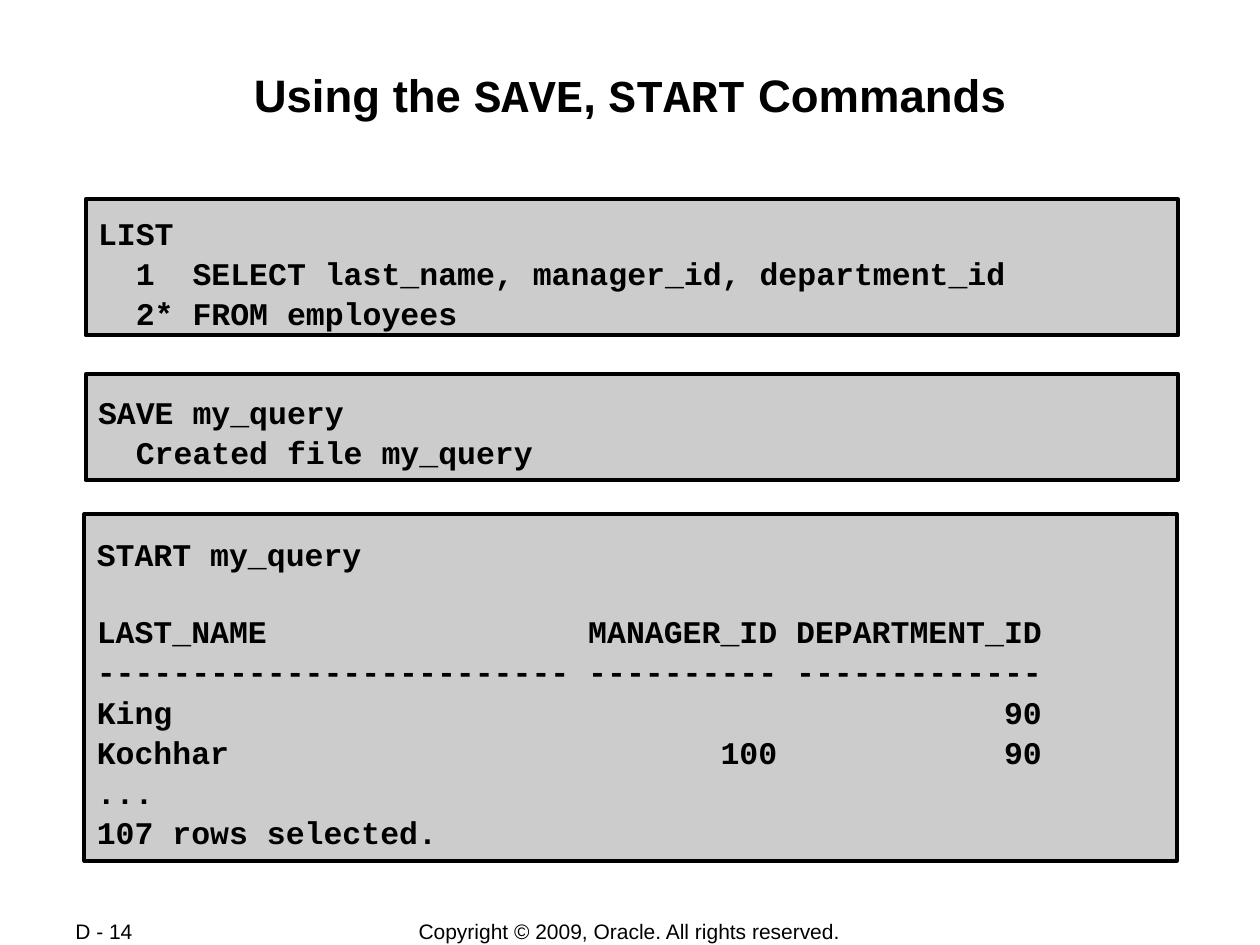
from dataclasses import dataclass

from pptx import Presentation
from pptx.dml.color import RGBColor
from pptx.enum.shapes import MSO_SHAPE
from pptx.enum.text import MSO_ANCHOR, MSO_AUTO_SIZE, PP_ALIGN
from pptx.util import Inches, Pt

RECTANGLE = MSO_SHAPE.RECTANGLE
TOP, MIDDLE = MSO_ANCHOR.TOP, MSO_ANCHOR.MIDDLE
LEFT, CENTER = PP_ALIGN.LEFT, PP_ALIGN.CENTER
NO_AUTOFIT = MSO_AUTO_SIZE.NONE
TITLE_ONLY = 5
WIDTH, HEIGHT = 10, 7.5


@dataclass(frozen=True)
class Theme:
    ink: RGBColor = RGBColor(0, 0, 0)
    panel: RGBColor = RGBColor(0xCC, 0xCC, 0xCC)
    prose: str = "Arial"
    code: str = "Courier New"
    title_size: float = 26
    code_size: float = 18
    footer_size: float = 12
    border: float = 2.25
    line_gap: float = 1.3
    section_gap: float = 22.9


class CommandSlide:
    def __init__(self, deck, theme):
        self.theme = theme
        self.slide = deck.slides.add_slide(deck.slide_layouts[TITLE_ONLY])

    def box(self, x, y, width, height):
        return (Inches(x * WIDTH), Inches(y * HEIGHT),
                Inches(width * WIDTH), Inches(height * HEIGHT))

    def frame(self, shape, anchor, side, top, bottom):
        frame = shape.text_frame
        frame.word_wrap = True
        frame.auto_size = NO_AUTOFIT
        frame.vertical_anchor = anchor
        frame.margin_left = frame.margin_right = Inches(side)
        frame.margin_top, frame.margin_bottom = Inches(top), Inches(bottom)
        return frame

    def style(self, font, size, family, bold):
        font.size, font.name, font.bold = Pt(size), family, bold
        font.color.rgb = self.theme.ink

    def title(self, pieces, x, y, width, height):
        heading = self.slide.shapes.title
        heading.left, heading.top, heading.width, heading.height = self.box(x, y, width, height)
        paragraph = self.frame(heading, TOP, 0.01, 0.05, 0.01).paragraphs[0]
        paragraph.alignment = CENTER
        for words, family in pieces:
            run = paragraph.add_run()
            run.text = words
            self.style(run.font, self.theme.title_size, family, True)

    def code_panel(self, sections, x, y, width, height):
        panel = self.slide.shapes.add_shape(RECTANGLE, *self.box(x, y, width, height))
        panel.shadow.inherit = False
        panel.fill.solid()
        panel.fill.fore_color.rgb = self.theme.panel
        panel.line.color.rgb = self.theme.ink
        panel.line.width = Pt(self.theme.border)
        frame = self.frame(panel, MIDDLE, 0.1, 0.09, 0.01)
        paragraph = frame.paragraphs[0]
        for section_index, lines in enumerate(sections):
            for line_index, line in enumerate(lines):
                if section_index or line_index:
                    paragraph = frame.add_paragraph()
                    gap = self.theme.line_gap if line_index else self.theme.section_gap
                    paragraph.space_before = Pt(gap)
                paragraph.text = line
                paragraph.alignment = LEFT
                self.style(paragraph.font, self.theme.code_size, self.theme.code, True)

    def footer(self, words, alignment, x, y, width, height):
        note = self.slide.shapes.add_textbox(*self.box(x, y, width, height))
        paragraph = self.frame(note, MIDDLE, 0.1, 0, 0).paragraphs[0]
        paragraph.text = words
        paragraph.alignment = alignment
        self.style(paragraph.font, self.theme.footer_size, self.theme.prose, False)


def query_row(last_name, manager_id, department_id):
    return f"{last_name:<25} {manager_id:>10} {department_id:>13}"


def main():
    deck = Presentation()
    deck.slide_width, deck.slide_height = Inches(WIDTH), Inches(HEIGHT)
    theme = Theme()
    page = CommandSlide(deck, theme)

    page.title(
        [("Using the ", theme.prose), ("SAVE", theme.code), (", ", theme.prose),
         ("START", theme.code), (" Commands", theme.prose)],
        0.067, 0.064, 0.866, 0.128)

    listing = [["LIST",
                "  1  SELECT last_name, manager_id, department_id",
                "  2* FROM employees"]]
    saving = [["SAVE my_query", "  Created file my_query"]]
    starting = [["START my_query"],
                [query_row("LAST_NAME", "MANAGER_ID", "DEPARTMENT_ID"),
                 query_row("-" * 25, "-" * 10, "-" * 13),
                 query_row("King", "", 90),
                 query_row("Kochhar", 100, 90),
                 "...",
                 "107 rows selected."]]
    for sections, x, y, height in [(listing, 0.068, 0.211, 0.144),
                                   (saving, 0.068, 0.396, 0.112),
                                   (starting, 0.067, 0.544, 0.367)]:
        page.code_panel(sections, x, y, 0.867, height)

    page.footer("Copyright © 2009, Oracle. All rights reserved.", CENTER,
                0.275, 0.971, 0.449, 0.028)
    page.footer("D - 14", LEFT, 0.05, 0.971, 0.106, 0.028)
    deck.save("out.pptx")


if __name__ == "__main__":
    main()
